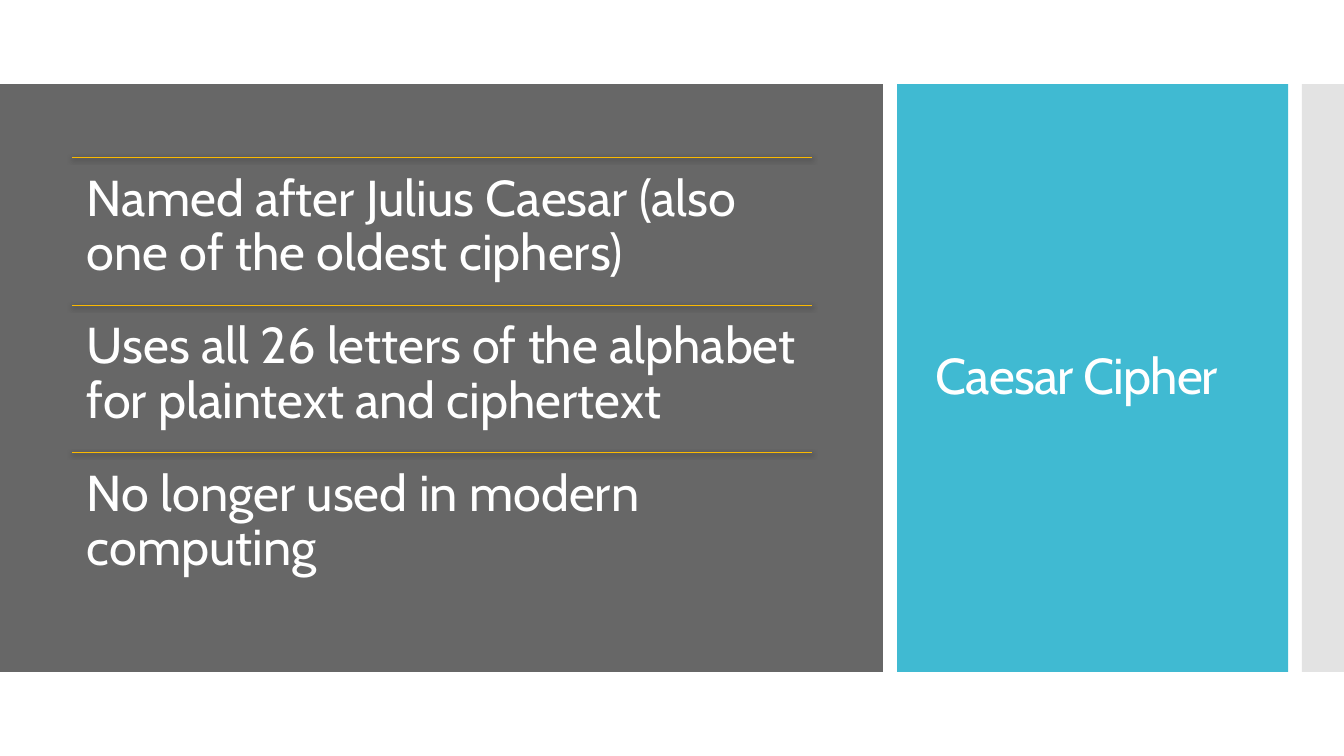
from dataclasses import dataclass

from lxml.etree import SubElement
from pptx import Presentation
from pptx.dml.color import RGBColor
from pptx.enum.shapes import MSO_CONNECTOR, MSO_SHAPE
from pptx.enum.text import MSO_ANCHOR, MSO_AUTO_SIZE, PP_ALIGN
from pptx.oxml.ns import qn
from pptx.util import Pt


@dataclass(frozen=True)
class Theme:
    font: str = "Cabin"
    size: float = 36
    white: str = "FFFFFF"
    gray: str = "676767"
    blue: str = "40BAD2"
    edge: str = "E3E3E3"
    gold: str = "FAB900"
    shadow: str = "000000"


THEME = Theme()
FACTS = [
    "Named after Julius Caesar (also one of the oldest ciphers)",
    "Uses all 26 letters of the alphabet for plaintext and ciphertext",
    "No longer used in modern computing",
]


def add_panel(s, box, color):
    sp = s.shapes.add_shape(MSO_SHAPE.RECTANGLE, *map(Pt, box))
    sp.shadow.inherit = False
    sp.fill.solid()
    sp.fill.fore_color.rgb = RGBColor.from_string(color)
    sp.line.fill.background()
    return sp


def write_text(tf, text, inset_x, inset_y):
    tf.text = text
    tf.word_wrap = True
    tf.auto_size = MSO_AUTO_SIZE.NONE
    tf.margin_left = tf.margin_right = Pt(inset_x)
    tf.margin_top = tf.margin_bottom = Pt(inset_y)
    p = tf.paragraphs[0]
    p.alignment = PP_ALIGN.LEFT
    p.line_spacing = 0.9
    r = p.runs[0]
    r.font.name = THEME.font
    r.font.size = Pt(THEME.size)
    r.font.color.rgb = RGBColor.from_string(THEME.white)
    return r


def add_rule(s, x, y, w):
    line = s.shapes.add_connector(
        MSO_CONNECTOR.STRAIGHT, Pt(x), Pt(y), Pt(x + w), Pt(y))
    line.line.color.rgb = RGBColor.from_string(THEME.gold)
    line.line.width = Pt(0.75)
    effects = SubElement(line.element.spPr, qn("a:effectLst"))
    shadow = SubElement(effects, qn("a:outerShdw"), blurRad=str(Pt(3.5)),
                        dist=str(Pt(1.1)), dir="5400000", rotWithShape="0")
    color = SubElement(shadow, qn("a:srgbClr"), val=THEME.shadow)
    SubElement(color, qn("a:alpha"), val="45000")


def add_facts(s, box, facts):
    x, y, w, h = box
    add_panel(s, box, THEME.gray)
    left, top, width, pitch = x + 51.3, y + 52.5, w - 102.2, 105.5
    for i, fact in enumerate(facts):
        row = top + i * pitch
        add_rule(s, left, row, width)
        sp = s.shapes.add_textbox(Pt(left), Pt(row), Pt(width), Pt(pitch))
        write_text(sp.text_frame, fact, 10.8, 10.8)


def add_title(s, box, text):
    x, y, w, h = box
    panel = add_panel(s, box, THEME.blue)
    title = s.shapes.title
    panel.element.addnext(title.element)
    title.left, title.top = Pt(x + 20.2), Pt(y + 28.8)
    title.width, title.height = Pt(w - 47.4), Pt(h - 57.6)
    r = write_text(title.text_frame, text, 7.2, 3.6)
    title.text_frame.vertical_anchor = MSO_ANCHOR.MIDDLE
    r.font._element.set("spc", "-60")


def main():
    prs = Presentation()
    prs.slide_width, prs.slide_height = Pt(960), Pt(540)
    s = prs.slides.add_slide(prs.slide_layouts[5])
    s.background.fill.solid()
    s.background.fill.fore_color.rgb = RGBColor.from_string(THEME.white)
    top, height = 60, 420
    add_facts(s, (0, top, 630.7, height), FACTS)
    add_title(s, (640.8, top, 279.4, height), "Caesar Cipher")
    add_panel(s, (930, top, 30, height), THEME.edge)
    prs.save("out.pptx")


if __name__ == "__main__":
    main()
